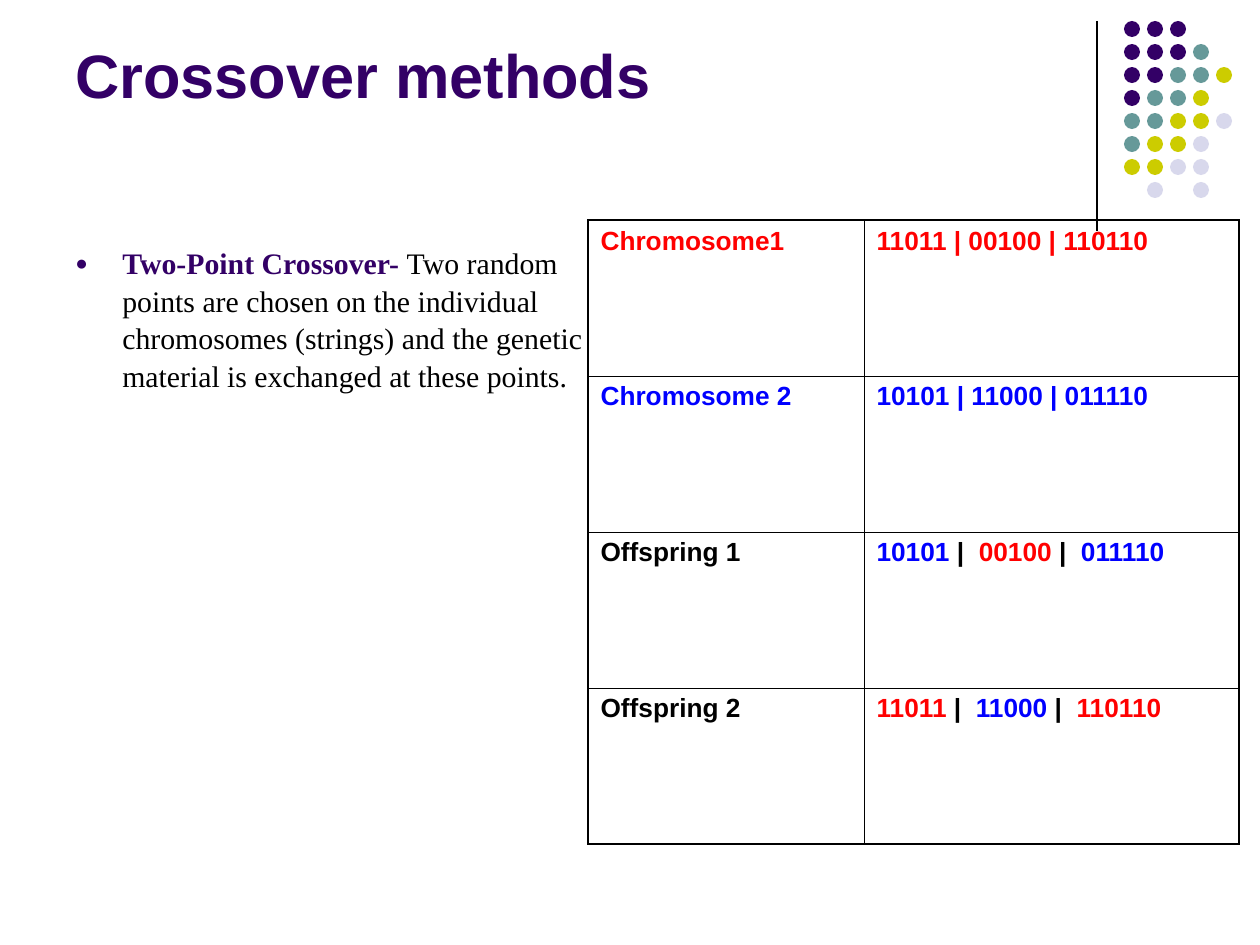
from dataclasses import dataclass

from lxml import etree
from pptx import Presentation
from pptx.dml.color import RGBColor
from pptx.enum.shapes import MSO_CONNECTOR, MSO_SHAPE
from pptx.enum.text import MSO_ANCHOR
from pptx.oxml.ns import qn
from pptx.util import Emu, Pt

STRAIGHT = MSO_CONNECTOR.STRAIGHT
OVAL = MSO_SHAPE.OVAL
TOP, BOTTOM = MSO_ANCHOR.TOP, MSO_ANCHOR.BOTTOM

PURPLE = RGBColor(0x33, 0x00, 0x66)
TEAL = RGBColor(0x66, 0x99, 0x99)
OLIVE = RGBColor(0xCC, 0xCC, 0x00)
LAVENDER = RGBColor(0xD8, 0xD8, 0xEC)
BLACK = RGBColor(0x00, 0x00, 0x00)
RED = RGBColor(0xFF, 0x00, 0x00)
BLUE = RGBColor(0x00, 0x00, 0xFF)

SANS, SERIF = "Arial", "Times New Roman"
THICK, THIN = Pt(1.08), Pt(0.45)

# Dot pattern: one letter per dot, a space where there is none
DOT_COLORS = {"P": PURPLE, "T": TEAL, "O": OLIVE, "L": LAVENDER}
DOT_ROWS = ["PPP", "PPPT", "PPTTO", "PTTO", "TTOOL", "TOOL", "OOLL", " L L"]
DOT_LEFT, DOT_TOP, DOT_PITCH, DOT_SIZE = 1124, 21, 23, 16


@dataclass(frozen=True)
class Span:
    text: str
    color: RGBColor
    bold: bool = True


@dataclass(frozen=True)
class Row:
    label: Span
    genes: list[Span]


ROWS = [
    Row(Span("Chromosome1", RED), [Span("11011 | 00100 | 110110", RED)]),
    Row(Span("Chromosome 2", BLUE), [Span("10101 | 11000 | 011110", BLUE)]),
    Row(Span("Offspring 1", BLACK),
        [Span("10101 ", BLUE), Span("| ", BLACK), Span(" 00100 ", RED),
         Span("|", BLACK), Span("  011110", BLUE)]),
    Row(Span("Offspring 2", BLACK),
        [Span("11011 ", RED), Span("|  ", BLACK), Span("11000 ", BLUE),
         Span("|", BLACK), Span("  110110", RED)]),
]


def px(length: int) -> Emu:
    return Emu(round(length * 914400 / 126))


def write_text(frame, spans: list[Span], *, font: str, size: int,
               spacing: float = 1.0, bullet: bool = False) -> None:
    para = frame.paragraphs[0]
    if bullet:
        add_bullet(para)
    para.line_spacing = spacing
    for span in spans:
        run = para.add_run()
        run.text = span.text
        run.font.name = font
        run.font.size = Pt(size)
        run.font.bold = span.bold
        run.font.color.rgb = span.color


def add_bullet(para) -> None:
    properties = para._p.get_or_add_pPr()
    properties.set("marL", str(px(47)))
    properties.set("indent", str(-px(47)))
    color = etree.SubElement(properties, qn("a:buClr"))
    etree.SubElement(color, qn("a:srgbClr"), val=str(PURPLE))
    etree.SubElement(properties, qn("a:buSzPct"), val="70000")
    etree.SubElement(properties, qn("a:buFont"), typeface=SANS)
    etree.SubElement(properties, qn("a:buChar"), char="●")


def add_text_box(page, left: int, top: int, width: int, height: int,
                 spans: list[Span], *, anchor=TOP, **text_format) -> None:
    box = page.shapes.add_textbox(px(left), px(top), px(width), px(height))
    box.text_frame.word_wrap = True
    box.text_frame.vertical_anchor = anchor
    write_text(box.text_frame, spans, **text_format)


def add_divider(page, x: int, top: int, bottom: int) -> None:
    line = page.shapes.add_connector(STRAIGHT, px(x), px(top), px(x), px(bottom))
    line.line.color.rgb = BLACK
    line.line.width = Pt(0.75)
    etree.SubElement(line._element.spPr, qn("a:effectLst"))


def add_dot(page, row: int, column: int, color: RGBColor) -> None:
    dot = page.shapes.add_shape(
        OVAL, px(DOT_LEFT + column * DOT_PITCH), px(DOT_TOP + row * DOT_PITCH),
        px(DOT_SIZE), px(DOT_SIZE))
    dot.shadow.inherit = False
    dot.fill.solid()
    dot.fill.fore_color.rgb = color
    dot.line.fill.background()


def set_borders(cell, outer_sides: dict[str, bool]) -> None:
    properties = cell._tc.get_or_add_tcPr()
    for side, outer in outer_sides.items():
        border = etree.SubElement(properties, qn(f"a:ln{side}"),
                                  w=str(THICK if outer else THIN))
        fill = etree.SubElement(border, qn("a:solidFill"))
        etree.SubElement(fill, qn("a:srgbClr"), val=str(BLACK))


def add_gene_table(page, left: int, top: int, column_widths: list[int],
                   row_height: int, rows: list[Row]) -> None:
    table = page.shapes.add_table(
        len(rows), len(column_widths), px(left), px(top),
        px(sum(column_widths)), px(row_height * len(rows))).table
    table.first_row = False
    table.horz_banding = False
    for column, width in zip(table.columns, column_widths):
        column.width = px(width)
    last_row, last_column = len(rows) - 1, len(column_widths) - 1
    for i, row in enumerate(rows):
        table.rows[i].height = px(row_height)
        for j, spans in enumerate([[row.label], row.genes]):
            cell = table.cell(i, j)
            set_borders(cell, {"L": j == 0, "R": j == last_column,
                               "T": i == 0, "B": i == last_row})
            cell.fill.background()
            write_text(cell.text_frame, spans, font=SANS, size=15)


def main() -> None:
    deck = Presentation()
    deck.slide_width, deck.slide_height = px(1260), px(945)
    page = deck.slides.add_slide(deck.slide_layouts[6])

    # Corner decoration
    add_divider(page, 1097, 21, 231)
    for i, dots in enumerate(DOT_ROWS):
        for j, key in enumerate(dots):
            if key in DOT_COLORS:
                add_dot(page, i, j, DOT_COLORS[key])

    # Title and explanation
    add_text_box(page, 63, 17, 1040, 100, [Span("Crossover methods", PURPLE)],
                 anchor=BOTTOM, font=SANS, size=35)
    add_text_box(page, 63, 237, 557, 607, [
        Span("Two-Point Crossover- ", PURPLE),
        Span("Two random points are chosen on the individual chromosomes "
             "(strings) and the genetic material is exchanged at these points.",
             BLACK, bold=False),
    ], font=SERIF, size=17, spacing=1.05, bullet=True)

    # Parents and offspring
    add_gene_table(page, 588, 220, [276, 375], 156, ROWS)

    deck.save("out.pptx")


if __name__ == "__main__":
    main()
